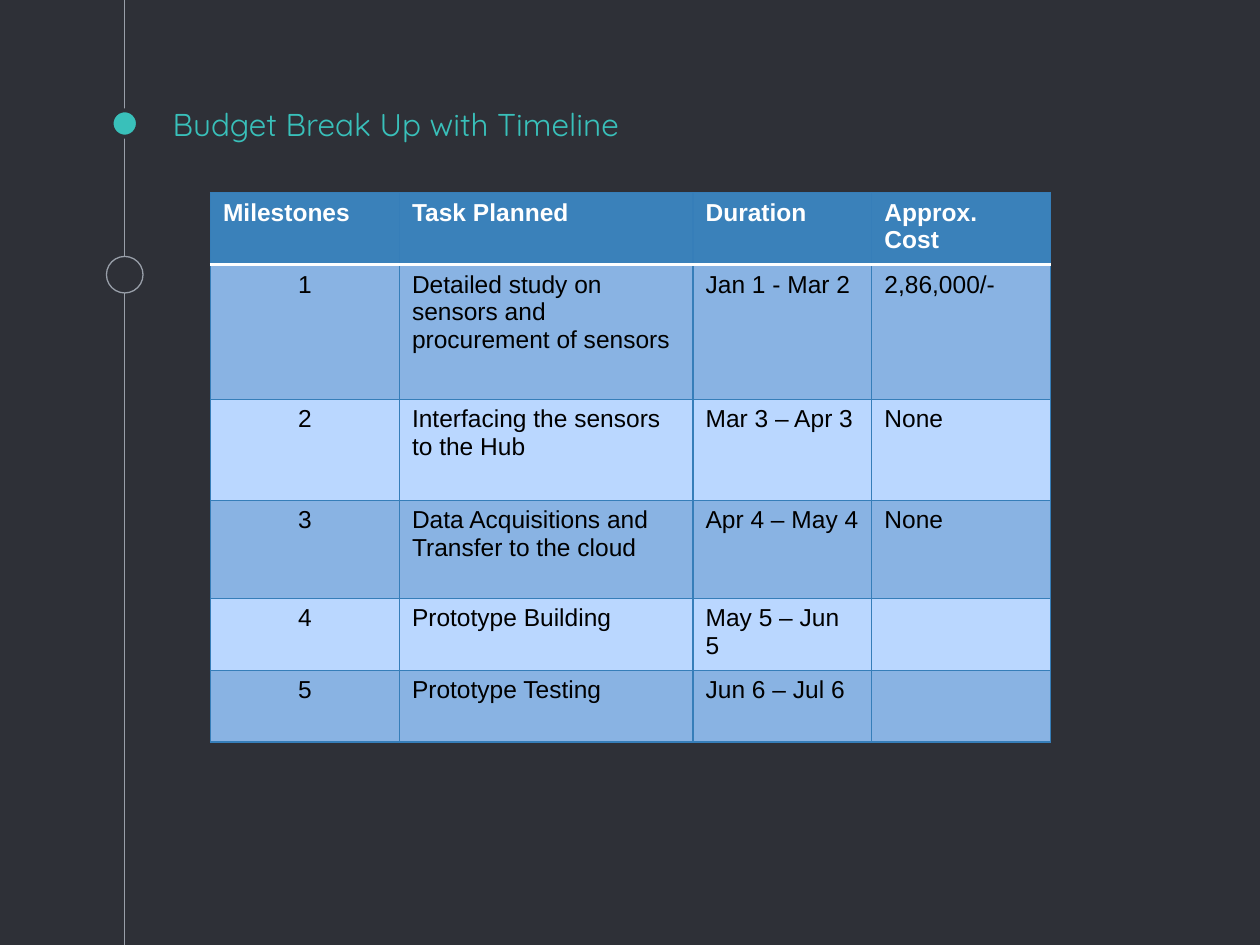
from dataclasses import dataclass

from lxml.etree import SubElement
from pptx import Presentation
from pptx.dml.color import RGBColor
from pptx.enum.shapes import MSO_CONNECTOR, MSO_SHAPE
from pptx.enum.text import MSO_ANCHOR, PP_ALIGN
from pptx.oxml.ns import qn
from pptx.util import Inches, Pt

COLORS = {
    "background": "2E3037",
    "accent": "39C0BA",
    "rail": "999FA9",
    "header": "3A81BA",
    "dark_band": "89B3E3",
    "light_band": "BAD7FF",
    "border": "367EB9",
    "white": "FFFFFF",
    "black": "000000",
}
RAIL_X = 0.99


@dataclass
class Marker:
    center_y: float
    diameter: float
    fill: str
    line: str
    line_width: float


@dataclass
class TableRow:
    height: float
    texts: tuple[str, str, str, str]


MARKERS = [
    Marker(0.98, 0.21, "accent", "background", 2.25),
    Marker(2.18, 0.29, "background", "rail", 0.75),
]
COLUMN_WIDTHS = [1.5, 2.33, 1.42, 1.42]
ROWS = [
    TableRow(0.57, ("Milestones", "Task Planned", "Duration", "Approx. Cost")),
    TableRow(1.07, ("1", "Detailed study on sensors and procurement of sensors",
                    "Jan 1 - Mar 2", "2,86,000/-")),
    TableRow(0.8, ("2", "Interfacing the sensors to the Hub", "Mar 3 – Apr 3", "None")),
    TableRow(0.78, ("3", "Data Acquisitions and Transfer to the cloud",
                    "Apr 4 – May 4", "None")),
    TableRow(0.57, ("4", "Prototype Building", "May 5 – Jun 5", "")),
    TableRow(0.57, ("5", "Prototype Testing", "Jun 6 – Jul 6", "")),
]


def color(name: str) -> RGBColor:
    return RGBColor.from_string(COLORS[name])


def add_run(paragraph, text: str, font_name: str, size: float, color_name: str,
            bold: bool = False) -> None:
    run = paragraph.add_run()
    run.text = text
    run.font.name = font_name
    run.font.size = Pt(size)
    run.font.bold = bold
    run.font.color.rgb = color(color_name)


def add_rail(slide) -> None:
    rail = slide.shapes.add_connector(
        MSO_CONNECTOR.STRAIGHT, Inches(RAIL_X), Inches(0), Inches(RAIL_X), Inches(7.5))
    rail.line.color.rgb = color("rail")
    rail.line.width = Pt(0.75)
    SubElement(rail._element.spPr, qn("a:effectLst"))


def add_marker(slide, marker: Marker) -> None:
    radius = marker.diameter / 2
    shape = slide.shapes.add_shape(
        MSO_SHAPE.OVAL, Inches(RAIL_X - radius), Inches(marker.center_y - radius),
        Inches(marker.diameter), Inches(marker.diameter))
    shape.shadow.inherit = False
    shape.fill.solid()
    shape.fill.fore_color.rgb = color(marker.fill)
    shape.line.color.rgb = color(marker.line)
    shape.line.width = Pt(marker.line_width)


def set_border(cell, side: str, color_name: str, width: float) -> None:
    line = SubElement(cell._tc.get_or_add_tcPr(), qn(f"a:ln{side}"), w=str(Pt(width)))
    fill = SubElement(line, qn("a:solidFill"))
    SubElement(fill, qn("a:srgbClr"), val=COLORS[color_name])


def format_cell(cell, text: str, row_index: int, column_index: int) -> None:
    is_header = row_index == 0
    # Borders come before the fill in the cell properties
    for side in "LRTB":
        under_header = (row_index, side) in ((0, "B"), (1, "T"))
        set_border(cell, side, *(("white", 2) if under_header else ("border", 0.75)))
    band = "dark_band" if row_index % 2 else "light_band"
    cell.fill.solid()
    cell.fill.fore_color.rgb = color("header" if is_header else band)
    paragraph = cell.text_frame.paragraphs[0]
    if column_index == 0 and not is_header:
        paragraph.alignment = PP_ALIGN.CENTER
    if text:
        add_run(paragraph, text, "Arial", 14, "white" if is_header else "black", is_header)


def add_budget_table(slide) -> None:
    frame = slide.shapes.add_table(
        len(ROWS), len(COLUMN_WIDTHS), Inches(1.67), Inches(1.53),
        Inches(sum(COLUMN_WIDTHS)), Inches(sum(row.height for row in ROWS)))
    table = frame.table
    for column, width in zip(table.columns, COLUMN_WIDTHS):
        column.width = Inches(width)
    for row_index, row in enumerate(ROWS):
        table.rows[row_index].height = Inches(row.height)
        for column_index, text in enumerate(row.texts):
            format_cell(table.cell(row_index, column_index), text, row_index, column_index)


def format_title(title) -> None:
    title.left, title.top = Inches(1.27), Inches(0.73)
    title.width, title.height = Inches(7.5), Inches(0.5)
    text_frame = title.text_frame
    text_frame.word_wrap = True
    text_frame.vertical_anchor = MSO_ANCHOR.BOTTOM
    text_frame.margin_left = text_frame.margin_right = Inches(0.1)
    text_frame.margin_top = text_frame.margin_bottom = Inches(0.1)
    paragraph = text_frame.paragraphs[0]
    paragraph.alignment = PP_ALIGN.LEFT
    add_run(paragraph, "Budget Break Up with Timeline", "Quicksand", 18, "accent")


# Slide and background
presentation = Presentation()
presentation.slide_width, presentation.slide_height = Inches(10), Inches(7.5)
slide = presentation.slides.add_slide(presentation.slide_layouts.get_by_name("Title Only"))
slide.background.fill.solid()
slide.background.fill.fore_color.rgb = color("background")

# Timeline rail with its markers
add_rail(slide)
for marker in MARKERS:
    add_marker(slide, marker)

# Title and table
format_title(slide.shapes.title)
add_budget_table(slide)

presentation.save("out.pptx")
